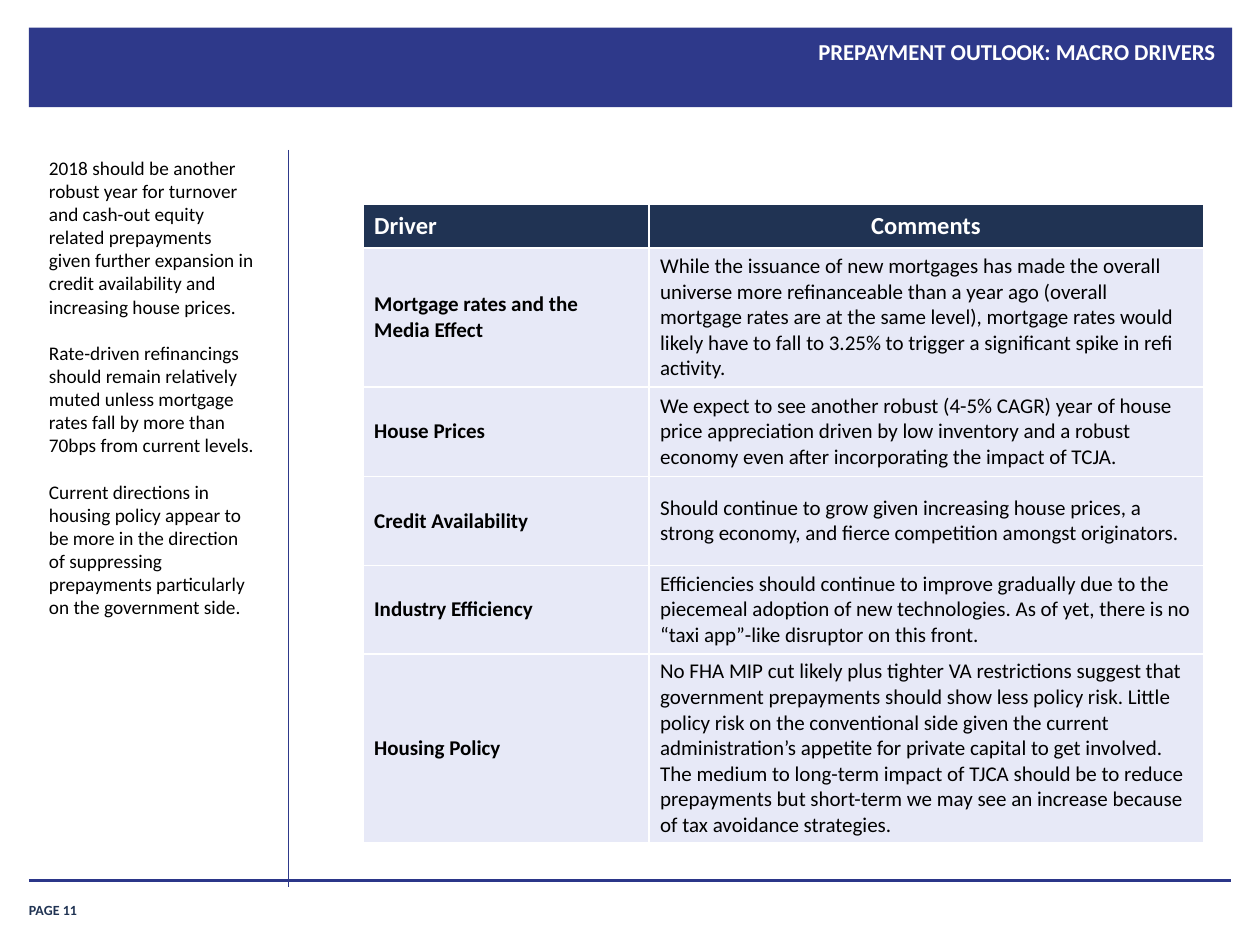
from pptx import Presentation
from pptx.util import Inches, Pt
from pptx.dml.color import RGBColor
from pptx.enum.shapes import MSO_SHAPE, MSO_CONNECTOR
from pptx.enum.text import PP_ALIGN, MSO_ANCHOR
from lxml.etree import SubElement
from pptx.oxml.ns import qn

# Content
TITLE = "PREPAYMENT OUTLOOK: MACRO DRIVERS"
PAGE = "PAGE 11"
NOTES = [
    "2018 should be another robust year for turnover and cash-out equity related "
    "prepayments given further expansion in credit availability and increasing house prices.",
    "Rate-driven refinancings should remain relatively muted unless mortgage rates "
    "fall by more than 70bps from current levels.",
    "Current directions in housing policy appear to be more in the direction of "
    "suppressing prepayments particularly on the government side.",
]
HEAD = ("Driver", "Comments")
ROWS = [  # driver, comment, row height
    ("Mortgage rates and the Media Effect",
     "While the issuance of new mortgages has made the overall universe more "
     "refinanceable than a year ago (overall mortgage rates are at the same level), "
     "mortgage rates would likely have to fall to 3.25% to trigger a significant "
     "spike in refi activity.", 1.1),
    ("House Prices",
     "We expect to see another robust (4-5% CAGR) year of house price appreciation "
     "driven by low inventory and a robust economy even after incorporating the "
     "impact of TCJA.", 0.71),
    ("Credit Availability",
     "Should continue to grow given increasing house prices, a strong economy, and "
     "fierce competition amongst originators.", 0.71),
    ("Industry Efficiency",
     "Efficiencies should continue to improve gradually due to the piecemeal adoption "
     "of new technologies. As of yet, there is no “taxi app”-like disruptor on this "
     "front.", 0.7),
    ("Housing Policy",
     "No FHA MIP cut likely plus tighter VA restrictions suggest that government "
     "prepayments should show less policy risk. Little policy risk on the conventional "
     "side given the current administration’s appetite for private capital to get "
     "involved. The medium to long-term impact of TJCA should be to reduce prepayments "
     "but short-term we may see an increase because of tax avoidance strategies.", 1.5),
]
COLS = (2.27, 4.4)
HEAD_H = 0.35

# Colours
BLUE, RULE, NAVY = "2E398A", "2B3689", "203353"
PALE, WHITE, BLACK = "E7E9F7", "FFFFFF", "000000"


def color(code):
    return RGBColor.from_string(code)


def paint(fill, code):
    fill.solid()
    fill.fore_color.rgb = color(code)


def style(para, size, code, bold=False, align=PP_ALIGN.LEFT):
    para.alignment = align
    form = {"name": "Calibri", "size": Pt(size), "bold": bold}
    for key, val in form.items():
        setattr(para.font, key, val)
    para.font.color.rgb = color(code)


def add_text(slide, box, texts, size, code, bold=False, align=PP_ALIGN.LEFT,
             pad=(0.1, 0.05), anchor=MSO_ANCHOR.TOP, gap=0):
    frame = slide.shapes.add_textbox(*map(Inches, box)).text_frame
    side, edge = map(Inches, pad)
    form = {"word_wrap": True, "vertical_anchor": anchor, "margin_left": side,
            "margin_right": side, "margin_top": edge, "margin_bottom": edge}
    for key, val in form.items():
        setattr(frame, key, val)
    for num, text in enumerate(texts):
        para = frame.paragraphs[0] if num == 0 else frame.add_paragraph()
        para.text = text
        style(para, size, code, bold, align)
        if num:
            para.space_before = Pt(gap)


def add_rule(slide, ends, code, width):
    line = slide.shapes.add_connector(MSO_CONNECTOR.STRAIGHT, *map(Inches, ends))
    line.line.color.rgb = color(code)
    line.line.width = Pt(width)
    SubElement(line._element.spPr, qn("a:effectLst"))


def set_cell(cell, text, fill, **form):
    cell.text = text
    cell.vertical_anchor = MSO_ANCHOR.MIDDLE
    cell.margin_left = cell.margin_right = Inches(0.09)
    cell.margin_top = cell.margin_bottom = Inches(0.04)
    style(cell.text_frame.paragraphs[0], **form)
    # Borders come before the fill in the cell XML
    props = cell._tc.get_or_add_tcPr()
    for side in ("lnL", "lnR", "lnT", "lnB"):
        line = SubElement(props, qn("a:" + side), w=str(Pt(1)))
        SubElement(SubElement(line, qn("a:solidFill")), qn("a:srgbClr"), val=WHITE)
    paint(cell.fill, fill)


def add_grid(slide):
    high = HEAD_H + sum(row[2] for row in ROWS)
    box = (2.88, 1.62, sum(COLS), high)
    grid = slide.shapes.add_table(len(ROWS) + 1, len(COLS), *map(Inches, box)).table
    for col, wide in zip(grid.columns, COLS):
        col.width = Inches(wide)
    grid.rows[0].height = Inches(HEAD_H)
    for col, align in enumerate((PP_ALIGN.LEFT, PP_ALIGN.CENTER)):
        set_cell(grid.cell(0, col), HEAD[col], NAVY,
                 size=14, code=WHITE, bold=True, align=align)
    for num, (*texts, tall) in enumerate(ROWS, 1):
        grid.rows[num].height = Inches(tall)
        for col, text in enumerate(texts):
            set_cell(grid.cell(num, col), text, PALE,
                     size=12, code=BLACK, bold=col == 0)


def main():
    deck = Presentation()
    deck.slide_width, deck.slide_height = Inches(10), Inches(7.5)
    slide = deck.slides.add_slide(deck.slide_layouts[6])

    # Title band
    band = slide.shapes.add_shape(MSO_SHAPE.RECTANGLE,
                                  *map(Inches, (0.23, 0.22, 9.55, 0.63)))
    band.shadow.inherit = False
    paint(band.fill, BLUE)
    band.line.fill.background()

    # Footer and rules
    add_text(slide, (0.23, 7.08, 0.82, 0.21), [PAGE], 8, NAVY, bold=True,
             pad=(0, 0), anchor=MSO_ANCHOR.BOTTOM)
    add_rule(slide, (0.23, 6.99, 9.77, 6.99), RULE, 2)
    add_rule(slide, (2.29, 1.19, 2.29, 7.04), BLUE, 0.5)

    # Title, side notes and table
    add_text(slide, (2.5, 0.25, 7.24, 0.62), [TITLE], 13, WHITE, bold=True,
             align=PP_ALIGN.RIGHT)
    add_text(slide, (0.29, 1.19, 1.83, 5.72), NOTES, 11, BLACK, gap=13.2)
    add_grid(slide)
    deck.save("out.pptx")


if __name__ == "__main__":
    main()
